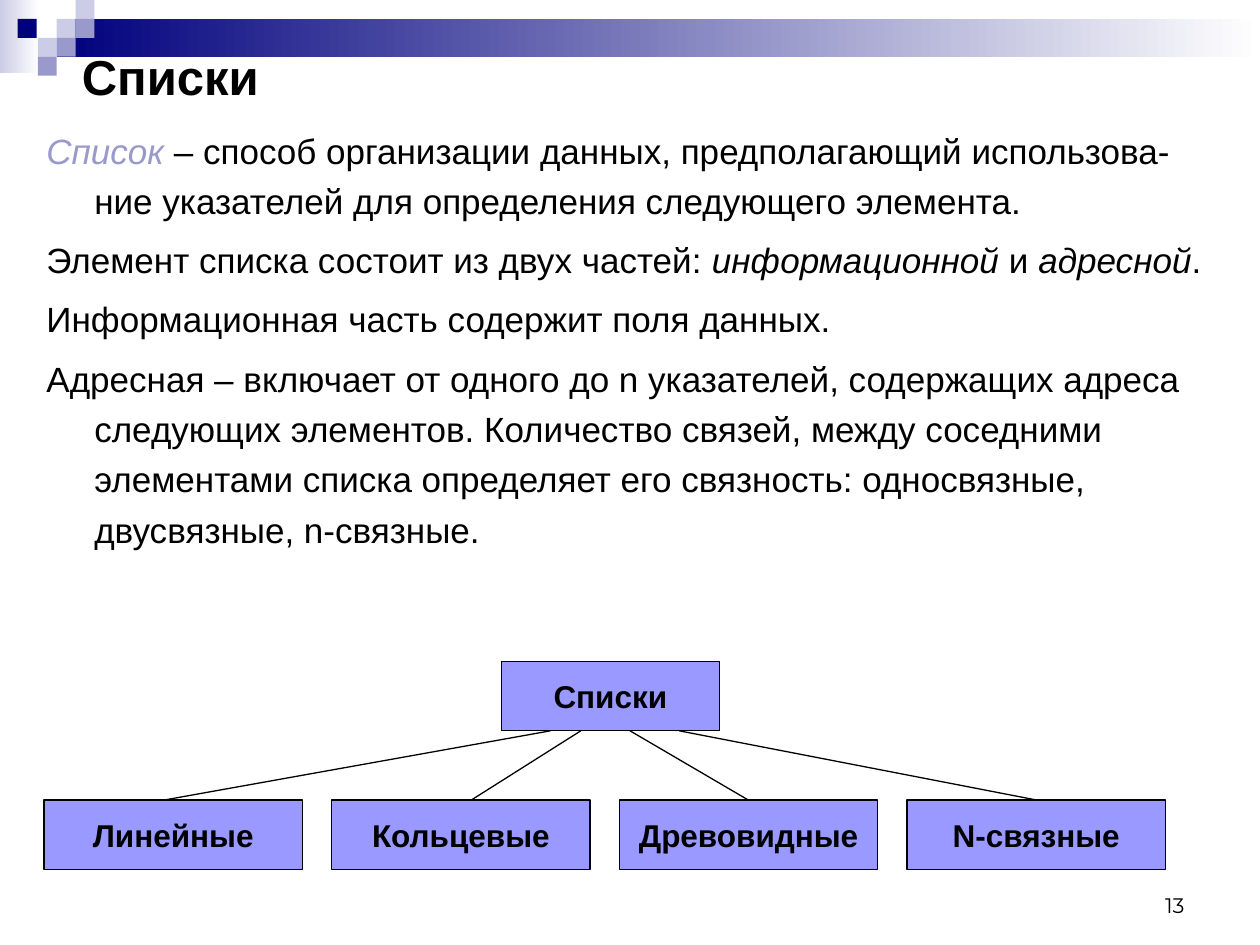
from dataclasses import dataclass

from lxml import etree
from pptx import Presentation
from pptx.dml.color import RGBColor
from pptx.enum.shapes import MSO_CONNECTOR, MSO_SHAPE
from pptx.enum.text import MSO_ANCHOR, MSO_AUTO_SIZE, PP_ALIGN
from pptx.oxml.ns import qn
from pptx.util import Inches, Pt

RECTANGLE = MSO_SHAPE.RECTANGLE
STRAIGHT = MSO_CONNECTOR.STRAIGHT
LEFT, CENTER, RIGHT = PP_ALIGN.LEFT, PP_ALIGN.CENTER, PP_ALIGN.RIGHT
TOP, MIDDLE, BOTTOM = MSO_ANCHOR.TOP, MSO_ANCHOR.MIDDLE, MSO_ANCHOR.BOTTOM


@dataclass(frozen=True)
class Theme:
    """Colours, fonts and type sizes of the slide."""

    black: str = "000000"
    white: str = "FFFFFF"
    navy: str = "00007D"
    lavender: str = "9999CC"
    pale: str = "CCCCE6"
    box: str = "9999FF"
    font: str = "Arial"
    number_font: str = "Montserrat"
    title_size: int = 28
    body_size: int = 20
    box_size: int = 18
    number_size: int = 12
    line_width: float = 0.75


THEME = Theme()

SQUARE = 0.15
SQUARES = [
    (0.45, 0.15, THEME.pale),
    (0.6, 0, THEME.pale),
    (0.6, 0.15, THEME.lavender),
    (0.3, 0.3, THEME.pale),
    (0.14, 0.15, THEME.navy),
    (0.45, 0.3, THEME.lavender),
    (0.3, 0.45, THEME.lavender),
]

ITALIC = {"italic": True}
DEFINITION = {"italic": True, "color": THEME.lavender}
BODY = [
    [
        ("Список", DEFINITION),
        (" – способ организации данных, предполагающий использова-ние "
         "указателей для определения следующего элемента.", {}),
    ],
    [
        ("Элемент списка состоит из двух частей: ", {}),
        ("информационной", ITALIC),
        (" и ", {}),
        ("адресной", ITALIC),
        (".", {}),
    ],
    [("Информационная часть содержит поля данных.", {})],
    [
        ("Адресная – включает от одного до n указателей, содержащих адреса "
         "следующих элементов. Количество связей, между соседними элементами "
         "списка определяет его связность: односвязные, двусвязные, "
         "n-связные.", {}),
    ],
]

ROOT_TOP, KIND_TOP, BOX_HEIGHT = 5.25, 6.35, 0.55
KIND_LEFT, KIND_WIDTH, KIND_STEP = 0.35, 2.05, 2.283
KINDS = [
    ("Линейные", 4.37, 1.3),
    ("Кольцевые", 4.61, 3.74),
    ("Древовидные", 5, 5.94),
    ("N-связные", 5.39, 8.23),
]


def add_run(paragraph, text, *, size, color=THEME.black, font=THEME.font,
            bold=False, italic=False):
    """Add a formatted run of text to a paragraph."""
    run = paragraph.add_run()
    run.text = text
    run.font.name = font
    run.font.size = Pt(size)
    run.font.bold = bold
    run.font.italic = italic
    run.font.color.rgb = RGBColor.from_string(color)


def set_frame(shape, *, anchor, alignment, wrap=True):
    """Format a shape's text frame and return its first paragraph."""
    frame = shape.text_frame
    frame.auto_size = MSO_AUTO_SIZE.NONE
    frame.word_wrap = wrap
    frame.vertical_anchor = anchor
    paragraph = frame.paragraphs[0]
    paragraph.alignment = alignment
    return paragraph


def add_rectangle(slide, left, top, width, height, color, fade_to=None):
    """Add an unlined rectangle with a solid fill or a horizontal fade."""
    shape = slide.shapes.add_shape(
        RECTANGLE, Inches(left), Inches(top), Inches(width), Inches(height))
    shape.shadow.inherit = False
    shape.line.fill.background()
    if fade_to:
        shape.fill.gradient()
        shape.fill.gradient_angle = 0
        for stop, stop_color in zip(shape.fill.gradient_stops, (color, fade_to)):
            stop.color.rgb = RGBColor.from_string(stop_color)
    else:
        shape.fill.solid()
        shape.fill.fore_color.rgb = RGBColor.from_string(color)
    return shape


def set_line(line):
    """Apply the diagram's thin black line."""
    line.color.rgb = RGBColor.from_string(THEME.black)
    line.width = Pt(THEME.line_width)


def add_box(slide, text, left, top, width):
    """Add a labelled box of the diagram."""
    shape = add_rectangle(slide, left, top, width, BOX_HEIGHT, THEME.box)
    set_line(shape.line)
    paragraph = set_frame(shape, anchor=MIDDLE, alignment=CENTER, wrap=False)
    add_run(paragraph, text, size=THEME.box_size, bold=True)


def add_link(slide, start, end):
    """Add a straight line between two points."""
    connector = slide.shapes.add_connector(
        STRAIGHT, *(Inches(value) for value in (*start, *end)))
    set_line(connector.line)
    etree.SubElement(connector._element.spPr, qn("a:effectLst"))


def add_decoration(slide):
    """Draw the fading bars and the small squares at the top."""
    add_rectangle(slide, 0, 0, 0.31, 0.58, THEME.pale, fade_to=THEME.white)
    add_rectangle(slide, 0.45, 0.15, 9.55, 0.3, THEME.navy, fade_to=THEME.white)
    for left, top, color in SQUARES:
        add_rectangle(slide, left, top, SQUARE, SQUARE, color)


def add_title(slide, text):
    """Place and fill the title placeholder."""
    title = slide.shapes.title
    title.left, title.top = Inches(0.55), Inches(0.36)
    title.width, title.height = Inches(9.45), Inches(0.48)
    paragraph = set_frame(title, anchor=MIDDLE, alignment=LEFT)
    add_run(paragraph, text, size=THEME.title_size, bold=True)


def add_body(slide):
    """Add the definitions with hanging indents."""
    box = slide.shapes.add_textbox(
        Inches(0.27), Inches(0.91), Inches(9.45), Inches(3.62))
    paragraph = set_frame(box, anchor=TOP, alignment=LEFT)
    for index, runs in enumerate(BODY):
        if index:
            paragraph = box.text_frame.add_paragraph()
            paragraph.space_before = Pt(5)
        paragraph.line_spacing = 1.2
        properties = paragraph._p.get_or_add_pPr()
        properties.set("marL", str(Inches(0.38)))
        properties.set("indent", str(Inches(-0.38)))
        for text, style in runs:
            add_run(paragraph, text, size=THEME.body_size, **style)


def add_diagram(slide):
    """Draw the root box, the kinds of list and the lines between them."""
    add_box(slide, "Списки", 3.98, ROOT_TOP, 1.73)
    for index, (text, root_x, kind_x) in enumerate(KINDS):
        add_box(slide, text, KIND_LEFT + index * KIND_STEP, KIND_TOP, KIND_WIDTH)
        add_link(slide, (root_x, ROOT_TOP + BOX_HEIGHT), (kind_x, KIND_TOP))


def add_slide_number(slide, text):
    """Add the slide number at the bottom right."""
    box = slide.shapes.add_textbox(
        Inches(7.17), Inches(6.83), Inches(2.33), Inches(0.5))
    paragraph = set_frame(box, anchor=BOTTOM, alignment=RIGHT)
    add_run(paragraph, text, size=THEME.number_size, font=THEME.number_font)


def main():
    """Build and save the presentation."""
    presentation = Presentation()
    presentation.slide_width, presentation.slide_height = Inches(10), Inches(7.5)
    slide = presentation.slides.add_slide(presentation.slide_layouts[5])
    add_decoration(slide)
    add_title(slide, "Списки")
    add_body(slide)
    add_diagram(slide)
    add_slide_number(slide, "13")
    presentation.save("out.pptx")


if __name__ == "__main__":
    main()
